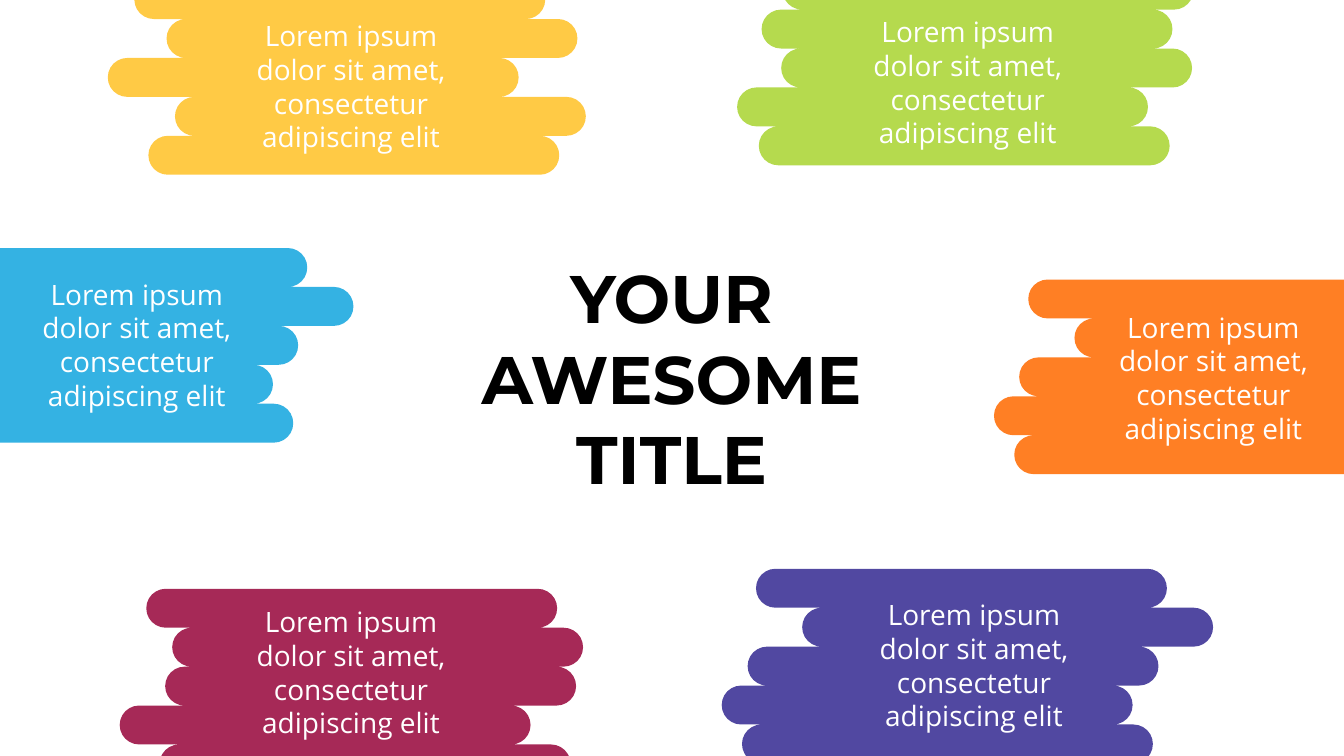
from math import asin, cos, degrees, pi, sin

from lxml.etree import SubElement
from pptx import Presentation
from pptx.dml.color import RGBColor
from pptx.enum.text import PP_ALIGN as Align
from pptx.oxml.ns import qn
from pptx.util import Pt

WIDTH, HEIGHT = 960, 540
BAR_WIDTH, BAR_HEIGHT = 293.5, 27.8
RADIUS = BAR_HEIGHT / 2
CAPTION = "Lorem ipsum dolor sit amet, consectetur adipiscing elit"
TITLE_FONT = {"name": "Montserrat", "size": Pt(48), "bold": True}
CAPTION_FONT = {"name": "Open Sans", "size": Pt(20)}

# colour, top of first bar, left end of each bar, caption position
CLOUDS = [
    ("FFCA45", -14.2, (96, 119, 77, 125, 106), (170, 10)),
    ("B5DA4E", -20.9, (559, 544, 558, 526.5, 542), (610.5, 7)),
    ("FF7F24", 199.7, (734.5, 767.5, 728, 710, 724.5), (786, 218)),
    ("34B2E3", 177.2, (-74, -41, -80.5, -98.5, -84), (17, 194.5)),
    ("A62957", 420.6, (104.5, 123, 118, 85.5, 114), (170, 428.5)),
    ("5148A1", 406.3, (540, 573, 534, 515.5, 530), (615, 423.5)),
]


def color(code):
    """Turn a hex string into a colour."""
    return RGBColor.from_string(code)


def add_text(shapes, frame, lines, font, code):
    """Add a wrapped, centred text box with one paragraph per line."""
    box = shapes.add_textbox(*(Pt(length) for length in frame))
    box.text_frame.word_wrap = True
    box.text_frame.text = "\n".join(lines)
    for para in box.text_frame.paragraphs:
        para.alignment = Align.CENTER
        span = para.runs[0]
        span.font.color.rgb = color(code)
        for name, value in font.items():
            setattr(span.font, name, value)


deck = Presentation()
deck.slide_width, deck.slide_height = Pt(WIDTH), Pt(HEIGHT)
page = deck.slides.add_slide(deck.slide_layouts[6])

add_text(page.shapes, (309.5, 179.5, 340.5, 181.5),
         ("YOUR", "AWESOME", "TITLE"), TITLE_FONT, "000000")

for fill, first_top, lefts, caption_at in CLOUDS:
    # Bar ends run down the right side, then up the left side
    right_ends, left_ends = [], []
    for row, left in enumerate(lefts):
        top = first_top + row * BAR_HEIGHT
        middle = top + RADIUS
        # Bars are cut where they leave the slide
        visible = max(top, 0), min(top + BAR_HEIGHT, HEIGHT)
        start, end = (asin(max(-1, min(1, (y - middle) / RADIUS)))
                      for y in visible)
        tip = max(start, min(end, 0))
        right_ends.append((left + BAR_WIDTH - RADIUS, middle,
                           (start, tip, end)))
        left_ends.append((left + RADIUS, middle,
                          (pi - end, pi - tip, pi - start)))

    outline, arcs = [], []
    for x, y, angles in right_ends + left_ends[::-1]:
        points = [(x + RADIUS * cos(angle), y + RADIUS * sin(angle))
                  for angle in angles]
        if 0 <= points[1][0] <= WIDTH:
            arcs.append((len(outline), angles[0], angles[2] - angles[0]))
        outline += [(Pt(max(0, min(WIDTH, px))), Pt(py)) for px, py in points]

    group = page.shapes.add_group_shape()
    builder = group.shapes.build_freeform(*outline[0])
    builder.add_line_segments(outline[1:], close=True)
    cloud = builder.convert_to_shape()
    cloud.shadow.inherit = False
    cloud.fill.solid()
    cloud.fill.fore_color.rgb = color(fill)
    cloud.line.fill.background()

    # Each round end becomes one arc in place of its two segments
    route = next(cloud._element.iter(qn("a:path")))
    nodes = list(route)
    for index, start, sweep in arcs:
        arc = SubElement(route, qn("a:arcTo"))
        for name, value in {"wR": Pt(RADIUS), "hR": Pt(RADIUS),
                            "stAng": round(degrees(start) % 360 * 60000),
                            "swAng": round(degrees(sweep) * 60000)}.items():
            arc.set(name, str(int(value)))
        route.remove(nodes[index + 1])
        route.replace(nodes[index + 2], arc)

    add_text(group.shapes, (*caption_at, 161.5, 104.5), [CAPTION],
             CAPTION_FONT, "FFFFFF")

deck.save("out.pptx")
